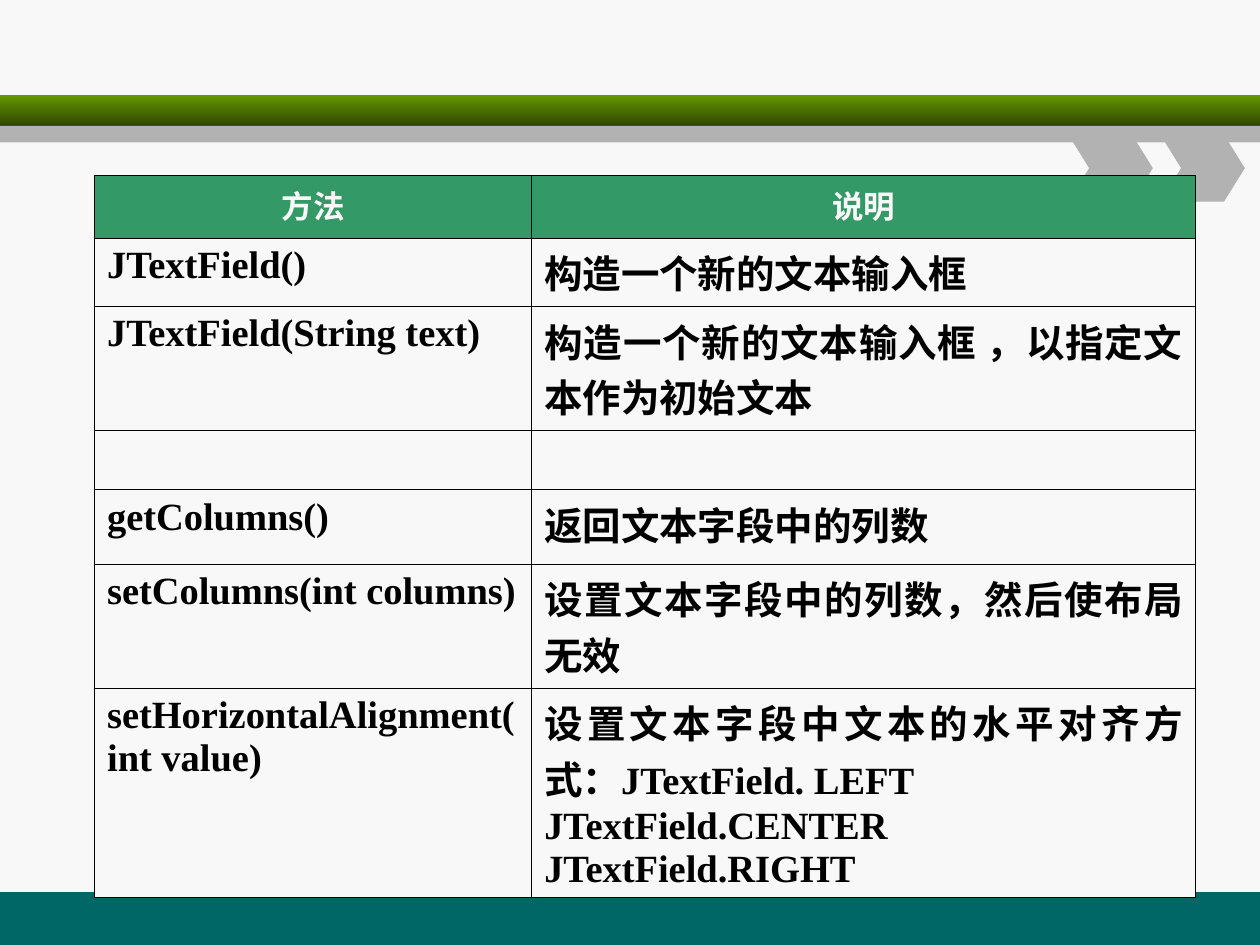
"""Build a slide with a table of JTextField methods."""
from typing import NamedTuple

from lxml.etree import SubElement
from pptx import Presentation
from pptx.dml.color import RGBColor as Rgb
from pptx.enum.shapes import MSO_SHAPE as Kind
from pptx.enum.text import PP_ALIGN as Align
from pptx.oxml.ns import qn
from pptx.util import Inches, Pt

INK = {
    "paper": "F8F8F8", "teal": "006666", "lime": "669900", "moss": "2F4700",
    "grey": "B2B2B2", "head": "339966", "text": "000000",
}
FONT = "Times New Roman"
COLS = (3.47, 5.27)
ROWS = (0.5, 0.47, 0.83, 0.47, 0.59, 0.83, 1.57)
TEXT = (
    ("方法", "说明"),
    ("JTextField()", "构造一个新的文本输入框"),
    ("JTextField(String text)", "构造一个新的文本输入框 ，以指定文本作为初始文本"),
    ("", ""),
    ("getColumns()", "返回文本字段中的列数"),
    ("setColumns(int columns)", "设置文本字段中的列数，然后使布局无效"),
    ("setHorizontalAlignment(int value)",
     "设置文本字段中文本的水平对齐方式：JTextField. LEFT\n"
     "JTextField.CENTER JTextField.RIGHT"),
)


class Block(NamedTuple):
    left: float
    top: float
    width: float
    height: float
    ink: str
    end: str = ""
    kind: Kind = Kind.RECTANGLE


class Look(NamedTuple):
    fill: str
    ink: str
    size: int
    align: Align


HEAD = Look("head", "paper", 18, Align.CENTER)
BODY = Look("paper", "text", 22, Align.JUSTIFY)
BLOCKS = (
    Block(0, 7.08, 10, 0.42, "teal"),
    Block(0, 0.75, 10, 0.25, "lime", "moss"),
    Block(0, 1, 10, 0.13, "grey"),
    *(Block(x, 1.07, 0.67, 0.53, "grey", kind=Kind.CHEVRON)
      for x in (8.48, 9.21)),
)


def hue(name: str) -> Rgb:
    return Rgb.from_string(INK[name])


def draw_block(slide, block: Block) -> None:
    shape = slide.shapes.add_shape(block.kind, *map(Inches, block[:4]))
    shape.shadow.inherit = False
    shape.line.fill.background()
    if block.kind == Kind.CHEVRON:
        shape.adjustments[0] = 0.31
    if block.end:
        shape.fill.gradient()
        shape.fill.gradient_angle = 270
        for stop, name in zip(shape.fill.gradient_stops, (block.ink, block.end)):
            stop.color.rgb = hue(name)
    else:
        shape.fill.solid()
        shape.fill.fore_color.rgb = hue(block.ink)


def add_edges(cell) -> None:
    props = cell._tc.get_or_add_tcPr()
    for side in "LRTB":
        line = SubElement(props, qn(f"a:ln{side}"), w=str(Pt(0.45)))
        fill = SubElement(line, qn("a:solidFill"))
        SubElement(fill, qn("a:srgbClr"), val=INK["text"])


def fill_cell(cell, text: str, look: Look) -> None:
    add_edges(cell)
    cell.fill.solid()
    cell.fill.fore_color.rgb = hue(look.fill)
    if not text:
        return
    cell.text = text
    for para in cell.text_frame.paragraphs:
        para._p.get_or_add_pPr().set("hangingPunct", "0")
        para.alignment = look.align
        font = para.font
        font.name, font.size, font.bold = FONT, Pt(look.size), True
        font.color.rgb = hue(look.ink)


def draw_table(slide) -> None:
    frame = slide.shapes.add_table(
        len(ROWS), len(COLS), Inches(0.75), Inches(1.39),
        Inches(sum(COLS)), Inches(sum(ROWS)))
    table = frame.table
    table.horz_banding = False
    for col, width in zip(table.columns, COLS):
        col.width = Inches(width)
    for i, (row, high) in enumerate(zip(table.rows, ROWS)):
        row.height = Inches(high)
        for cell, text in zip(row.cells, TEXT[i]):
            fill_cell(cell, text, BODY if i else HEAD)


def main() -> None:
    deck = Presentation()
    deck.slide_width, deck.slide_height = Inches(10), Inches(7.5)
    slide = deck.slides.add_slide(deck.slide_layouts[6])
    slide.background.fill.solid()
    slide.background.fill.fore_color.rgb = hue("paper")
    for block in BLOCKS:
        draw_block(slide, block)
    draw_table(slide)
    deck.save("out.pptx")


if __name__ == "__main__":
    main()
